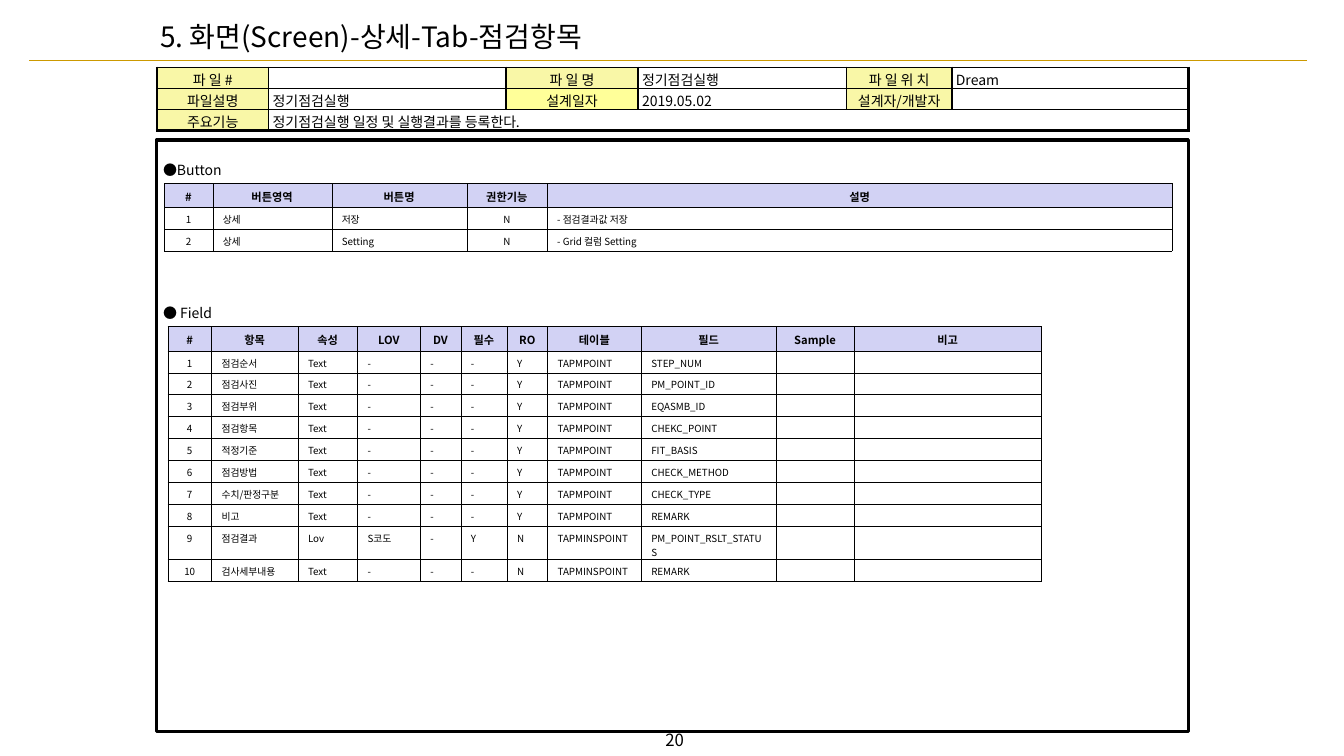
from dataclasses import dataclass
from typing import Optional

import lxml.etree
import pptx
import pptx.dml.color
import pptx.enum.shapes
import pptx.enum.text
import pptx.oxml.ns
import pptx.util

Cm = pptx.util.Cm
Pt = pptx.util.Pt
qn = pptx.oxml.ns.qn
Align = pptx.enum.text.PP_ALIGN
Anchor = pptx.enum.text.MSO_ANCHOR


@dataclass(frozen=True)
class Theme:
    font: str = "Noto Sans CJK KR"
    black: str = "000000"
    white: str = "FFFFFF"
    gold: str = "CC9900"
    label: str = "F9F7A7"
    date_label: str = "FFFF99"
    heading: str = "D2D2F4"
    title_size: float = 20
    page_size: float = 12
    text_size: float = 10
    heading_size: float = 8
    cell_size: float = 7
    hairline: float = 0.25
    thin: float = 1
    medium: float = 1.5
    thick: float = 2.25


THEME = Theme()


@dataclass(frozen=True)
class Label:
    """A line of text; lengths are centimetres, margins run left, top, right, bottom."""
    text: str
    left: float
    top: float
    width: float
    height: float
    size: float
    margins: tuple[float, float, float, float]
    align: Align = Align.LEFT
    anchor: Anchor = Anchor.TOP
    line_spacing: Optional[float] = None


@dataclass(frozen=True)
class Listing:
    """A table with a heading row; centred holds the column numbers set in the middle."""
    left: float
    top: float
    widths: tuple[float, ...]
    centred: tuple[int, ...]
    rows: list[list[str]]


SECTION_MARGINS = (0, 0.13, 0.05, 0.13)
LABELS = [
    Label("20", 13.54, 18.26, 6.93, 0.76, THEME.page_size, (0.25, 0.13, 0.25, 0.13),
          Align.CENTER, Anchor.MIDDLE),
    Label("5. 화면(Screen)-상세-Tab-점검항목", 3.84, 0.28, 18.34, 1.27, THEME.title_size,
          (0.2, 0.2, 0.2, 0.2)),
    Label("●Button", 4.11, 3.99, 4.83, 0.58, THEME.text_size, SECTION_MARGINS,
          line_spacing=0.9),
    Label("● Field", 4.11, 7.59, 6.22, 0.58, THEME.text_size, SECTION_MARGINS,
          line_spacing=0.9),
]

SUMMARY_WIDTHS = (2.82, 5.98, 3.33, 5.25, 2.66, 5.96)
SUMMARY_ROWS = [
    ["파 일 #", "", "파 일 명", "정기점검실행", "파 일 위 치", "Dream"],
    ["파일설명", "정기점검실행", "설계일자", "2019.05.02", "설계자/개발자", ""],
    ["주요기능", "정기점검실행 일정 및 실행결과를 등록한다.", "", "", "", ""],
]

BUTTONS = Listing(4.14, 4.62, (1.22, 3, 3.4, 2.03, 15.75), (0, 3), [
    ["#", "버튼영역", "버튼명", "권한기능", "설명"],
    ["1", "상세", "저장", "N", "- 점검결과값 저장"],
    ["2", "상세", "Setting", "N", "- Grid 컬럼 Setting"],
])

# Item, attribute, LOV, required, read-only, table, field
FIELDS = [
    ("점검순서", "Text", "-", "-", "Y", "TAPMPOINT", "STEP_NUM"),
    ("점검사진", "Text", "-", "-", "Y", "TAPMPOINT", "PM_POINT_ID"),
    ("점검부위", "Text", "-", "-", "Y", "TAPMPOINT", "EQASMB_ID"),
    ("점검항목", "Text", "-", "-", "Y", "TAPMPOINT", "CHEKC_POINT"),
    ("적정기준", "Text", "-", "-", "Y", "TAPMPOINT", "FIT_BASIS"),
    ("점검방법", "Text", "-", "-", "Y", "TAPMPOINT", "CHECK_METHOD"),
    ("수치/판정구분", "Text", "-", "-", "Y", "TAPMPOINT", "CHECK_TYPE"),
    ("비고", "Text", "-", "-", "Y", "TAPMPOINT", "REMARK"),
    ("점검결과", "Lov", "S코도", "Y", "N", "TAPMINSPOINT", "PM_POINT_RSLT_STATUS"),
    ("검사세부내용", "Text", "-", "-", "N", "TAPMINSPOINT", "REMARK"),
]
FIELD_LISTING = Listing(
    4.23, 8.23, (1.1, 2.18, 1.5, 1.58, 1.02, 1.17, 1.02, 2.36, 3.4, 1.96, 4.73), (0,),
    [["#", "항목", "속성", "LOV", "DV", "필수", "RO", "테이블", "필드", "Sample", "비고"]]
    + [[str(number), *field[:3], "-", *field[3:], "", ""]
       for number, field in enumerate(FIELDS, 1)])


def rgb(colour: str) -> pptx.dml.color.RGBColor:
    return pptx.dml.color.RGBColor.from_string(colour)


def write(para, text: str, size: float, align: Align, bold: bool = False) -> None:
    para.text = text
    para.alignment = align
    for span in para.runs:
        span.font.name = THEME.font
        span.font.size = Pt(size)
        span.font.bold = bold
        span.font.color.rgb = rgb(THEME.black)
        lxml.etree.SubElement(span.font._element, qn("a:ea"), typeface=THEME.font)
    if not text:
        # An empty cell still takes its height from this size.
        lxml.etree.SubElement(para._p, qn("a:endParaRPr"), sz=str(int(size * 100)))


def add_label(page, label: Label) -> None:
    box = page.shapes.add_textbox(Cm(label.left), Cm(label.top), Cm(label.width), Cm(label.height))
    frame = box.text_frame
    frame.word_wrap = True
    frame.vertical_anchor = label.anchor
    (frame.margin_left, frame.margin_top,
     frame.margin_right, frame.margin_bottom) = map(Cm, label.margins)
    write(frame.paragraphs[0], label.text, label.size, label.align)
    if label.line_spacing:
        frame.paragraphs[0].line_spacing = label.line_spacing


def set_borders(cell, left: float, right: float, top: float, bottom: float) -> None:
    properties = cell._tc.get_or_add_tcPr()
    for index, (side, width) in enumerate(zip("LRTB", (left, right, top, bottom))):
        line = lxml.etree.Element(qn(f"a:ln{side}"), w=str(Pt(width)))
        fill = lxml.etree.SubElement(line, qn("a:solidFill"))
        lxml.etree.SubElement(fill, qn("a:srgbClr"), val=THEME.black)
        properties.insert(index, line)


def add_grid(page, left: float, top: float, widths: tuple[float, ...], heights: list[float]):
    """Add a table without banding, its lengths in centimetres."""
    table = page.shapes.add_table(len(heights), len(widths), Cm(left), Cm(top),
                                  Cm(sum(widths)), Cm(sum(heights))).table
    table.first_row = table.horz_banding = False
    for column, width in zip(table.columns, widths):
        column.width = Cm(width)
    for row, height in zip(table.rows, heights):
        row.height = Cm(height)
    return table


def add_summary(page) -> None:
    table = add_grid(page, 3.95, 1.7, SUMMARY_WIDTHS, [0.53] * len(SUMMARY_ROWS))
    last_row, last_column = len(SUMMARY_ROWS) - 1, len(SUMMARY_WIDTHS) - 1
    table.cell(last_row, 1).merge(table.cell(last_row, last_column))
    for i, texts in enumerate(SUMMARY_ROWS):
        for j, text in enumerate(texts):
            cell = table.cell(i, j)
            is_label = j % 2 == 0 and not cell.is_spanned
            cell.margin_left = cell.margin_right = Cm(0.1)
            cell.margin_top = cell.margin_bottom = Cm(0.05)
            cell.vertical_anchor = Anchor.MIDDLE
            write(cell.text_frame.paragraphs[0], text, THEME.text_size,
                  Align.CENTER if is_label else Align.LEFT)
            colour = THEME.label if is_label else THEME.white
            cell.fill.solid()
            cell.fill.fore_color.rgb = rgb(THEME.date_label if text == "설계일자" else colour)
            set_borders(cell,
                        THEME.medium if j == 0 else THEME.thin,
                        THEME.thick if j == last_column or cell.is_merge_origin else THEME.thin,
                        THEME.medium if i == 0 else THEME.thin,
                        THEME.thick if i == last_row else THEME.thin)


def add_listing(page, listing: Listing) -> None:
    heights = [0.61] + [0.55] * (len(listing.rows) - 1)
    table = add_grid(page, listing.left, listing.top, listing.widths, heights)
    for i, texts in enumerate(listing.rows):
        heading = i == 0
        for j, text in enumerate(texts):
            cell = table.cell(i, j)
            write(cell.text_frame.paragraphs[0], text,
                  THEME.heading_size if heading else THEME.cell_size,
                  Align.CENTER if heading or j in listing.centred else Align.LEFT, heading)
            if heading:
                cell.fill.solid()
                cell.fill.fore_color.rgb = rgb(THEME.heading)
            else:
                cell.fill.background()
            set_borders(cell, *[THEME.hairline] * 4)


def add_rule_and_frame(page) -> None:
    rule = page.shapes.add_connector(pptx.enum.shapes.MSO_CONNECTOR.STRAIGHT,
                                     Cm(0.74), Cm(1.52), Cm(32.94), Cm(1.52))
    rule.line.color.rgb = rgb(THEME.gold)
    rule.line.width = Pt(THEME.thin)
    lxml.etree.SubElement(rule._element.spPr, qn("a:effectLst"))
    frame = page.shapes.add_shape(pptx.enum.shapes.MSO_SHAPE.RECTANGLE,
                                  Cm(3.94), Cm(3.53), Cm(26.01), Cm(14.91))
    frame.shadow.inherit = False
    frame.fill.background()
    frame.line.color.rgb = rgb(THEME.black)
    frame.line.width = Pt(THEME.thick)


def main() -> None:
    deck = pptx.Presentation()
    deck.slide_width, deck.slide_height = Cm(33.87), Cm(19.05)
    page = deck.slides.add_slide(deck.slide_layouts[6])
    add_rule_and_frame(page)
    for label in LABELS:
        add_label(page, label)
    add_summary(page)
    for listing in (FIELD_LISTING, BUTTONS):
        add_listing(page, listing)
    deck.save("out.pptx")


if __name__ == "__main__":
    main()
